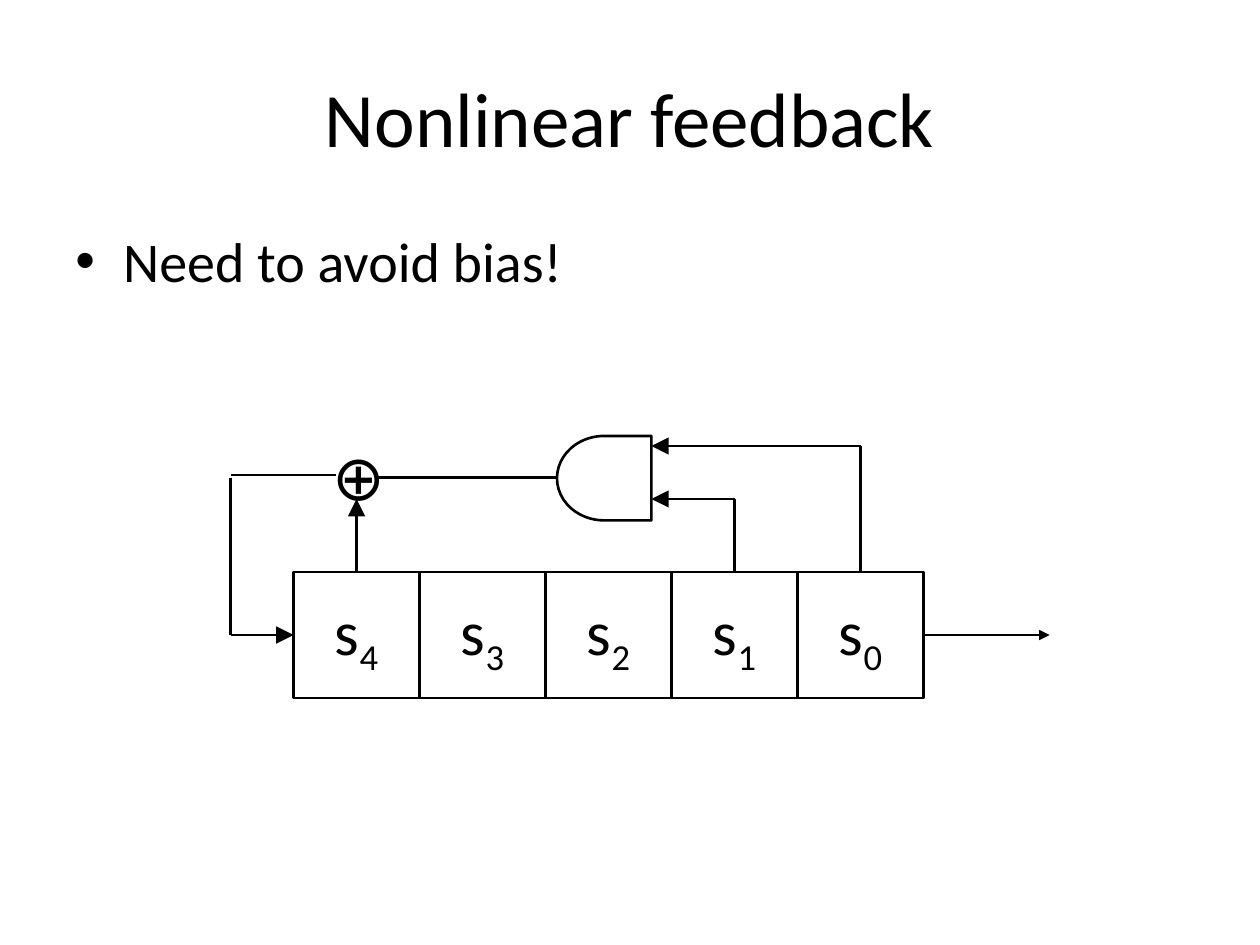
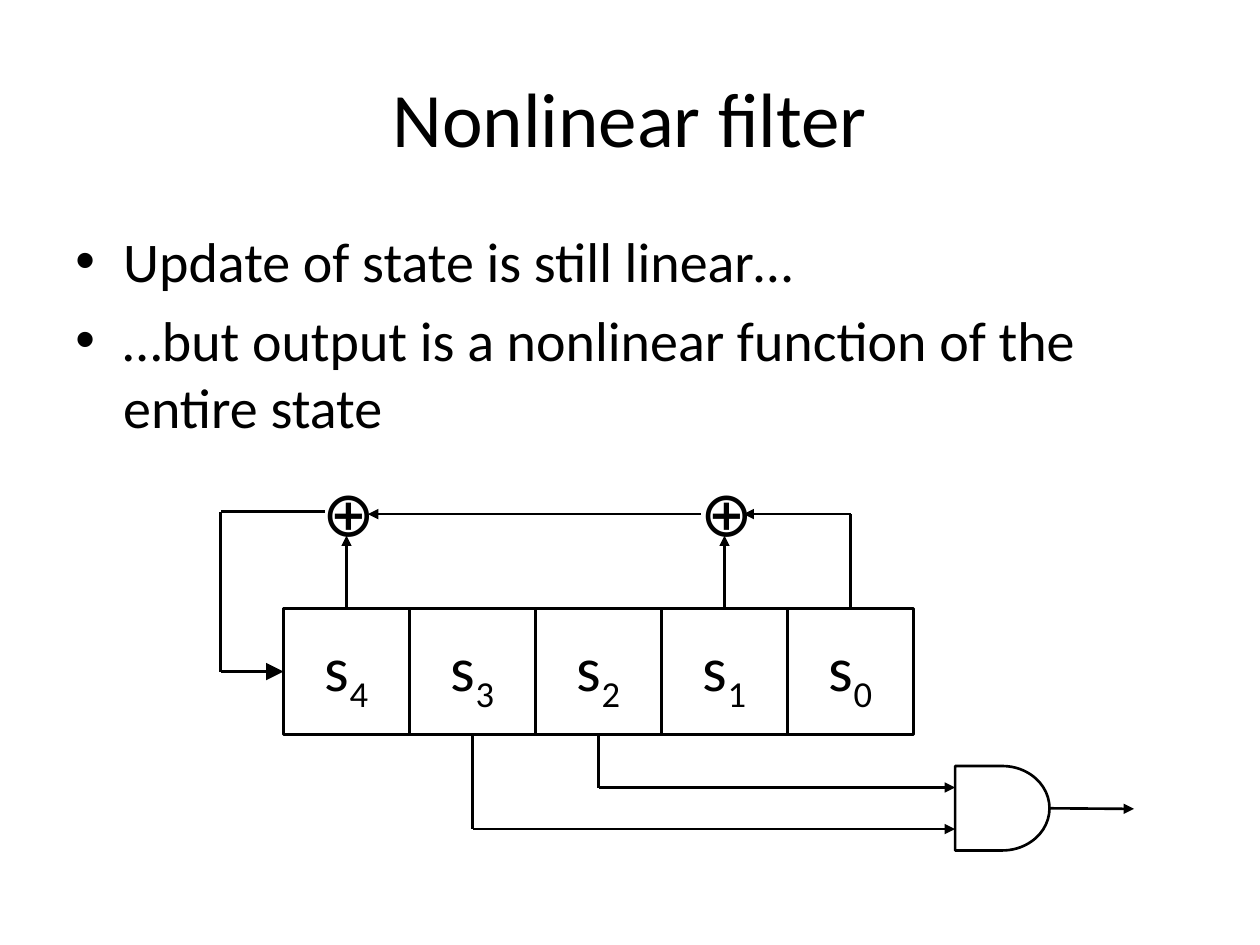
from lxml import etree
from pptx import Presentation
from pptx.dml.color import RGBColor
from pptx.enum import shapes, text
from pptx.oxml.ns import qn
from pptx.util import Inches, Pt

BLACK = RGBColor(0, 0, 0)
FONT = "Calibri"
LINE_WIDTH = Pt(1.5)
CELL = 1.0
CELL_DIGITS = "43210"
GATE_SIZE = (0.75, 0.67)
XOR_SIZE = (0.59, 0.71)
TOP, LEFT, BOTTOM, RIGHT = range(4)

# A wire is (start, end, arrowhead size at the end or None).
# An end is a point in inches or (name of a part, side).
SLIDES = [
    {
        "title": "Nonlinear feedback",
        "bullets": ["Need to avoid bias!"],
        "body_height": 0.92,
        "register": (2.33, 4.54),
        "gate": (4.42, 3.46),
        "gate_rotation": 180,
        "xors": [(2.54, 3.42)],
        "wires": [
            (("s0", RIGHT), (8.33, 5.04), "med"),
            (("s1", TOP), (5.83, 3.96), None),
            ((5.83, 3.96), (5.17, 3.96), "lg"),
            (("s0", TOP), (6.83, 3.54), None),
            ((6.83, 3.54), (5.17, 3.54), "lg"),
            ((4.42, 3.79), (3, 3.79), None),
            (("s4", TOP), (2.83, 3.96), "lg"),
            ((2.67, 3.77), (1.83, 3.77), None),
            ((1.83, 3.79), (1.83, 5.04), None),
            ((1.83, 5.04), ("s4", LEFT), "lg"),
        ],
    },
    {
        "title": "Nonlinear filter",
        "bullets": [
            "Update of state is still linear…",
            "…but output is a nonlinear function of the entire state",
        ],
        "body_height": 1.92,
        "register": (2.25, 4.83),
        "gate": (7.58, 6.08),
        "gate_rotation": 0,
        "xors": [(2.46, 3.71), (5.46, 3.71)],
        "wires": [
            (("s0", TOP), (6.75, 4.08), None),
            ((6.75, 4.08), (5.9, 4.08), "med"),
            (("s1", TOP), (5.75, 4.25), "med"),
            ((5.56, 4.08), (2.92, 4.08), "med"),
            (("s4", TOP), (2.75, 4.25), "med"),
            ((2.58, 4.06), (1.75, 4.06), None),
            ((1.75, 4.06), (1.75, 5.33), None),
            ((1.75, 5.33), ("s4", LEFT), "lg"),
            (("s2", BOTTOM), (4.75, 6.25), None),
            ((4.75, 6.25), (7.58, 6.25), "med"),
            (("s3", BOTTOM), (3.75, 6.58), None),
            ((3.75, 6.58), (7.58, 6.58), "med"),
            (("gate", RIGHT), (9, 6.42), "med"),
        ],
    },
]


def put_text(sp, lines, size, align=text.PP_ALIGN.LEFT,
             anchor=text.MSO_ANCHOR.TOP, wrap=True, bullet=None, subscript=None):
    tf = sp.text_frame
    tf.word_wrap = wrap
    tf.vertical_anchor = anchor
    for i, line in enumerate(lines):
        p = tf.add_paragraph() if i else tf.paragraphs[0]
        p.alignment = align
        if bullet:
            pPr = p._p.get_or_add_pPr()
            pPr.set("marL", str(Inches(0.38)))
            pPr.set("indent", str(-Inches(0.38)))
            etree.SubElement(pPr, qn("a:buFont")).set("typeface", "Arial")
            etree.SubElement(pPr, qn("a:buChar")).set("char", bullet)
            if i:
                p.space_before = Pt(size * 0.2)
        for part in filter(None, (line, subscript)):
            r = p.add_run()
            r.text = part
            r.font.name = FONT
            r.font.size = Pt(size)
            r.font.color.rgb = BLACK
            if part == subscript:
                r.font._element.set("baseline", "-25000")


def add_text(s, x, y, w, h, lines, size, **fmt):
    box = s.shapes.add_textbox(*map(Inches, (x, y, w, h)))
    put_text(box, lines, size, **fmt)


def add_outline(s, kind, x, y, w, h):
    sp = s.shapes.add_shape(kind, *map(Inches, (x, y, w, h)))
    sp.shadow.inherit = False
    sp.fill.background()
    sp.line.color.rgb = BLACK
    sp.line.width = LINE_WIDTH
    return sp


def add_register(s, x, y):
    cells = {}
    for i, digit in enumerate(CELL_DIGITS):
        cell = add_outline(s, shapes.MSO_SHAPE.RECTANGLE, x + i * CELL, y, CELL, CELL)
        put_text(cell, ["s"], 36, align=text.PP_ALIGN.CENTER,
                 anchor=text.MSO_ANCHOR.MIDDLE, subscript=digit)
        cells["s" + digit] = cell
    return cells


def locate(end, parts):
    """Return the point of a wire's end in EMU."""
    if end[0] not in parts:
        return Inches(end[0]), Inches(end[1])
    sp, side = parts[end[0]], end[1]
    fx, fy = {TOP: (0.5, 0), LEFT: (0, 0.5), BOTTOM: (0.5, 1), RIGHT: (1, 0.5)}[side]
    return int(sp.left + fx * sp.width), int(sp.top + fy * sp.height)


def add_wire(s, parts, start, end, arrow):
    wire = s.shapes.add_connector(
        shapes.MSO_CONNECTOR.STRAIGHT, *locate(start, parts), *locate(end, parts))
    if start[0] in parts:
        wire.begin_connect(parts[start[0]], start[1])
    if end[0] in parts:
        wire.end_connect(parts[end[0]], end[1])
    wire.line.color.rgb = BLACK
    wire.line.width = LINE_WIDTH
    if arrow:
        tail = etree.SubElement(wire.line._get_or_add_ln(), qn("a:tailEnd"))
        for key, value in (("type", "triangle"), ("w", arrow), ("len", arrow)):
            tail.set(key, value)
    etree.SubElement(wire._element.spPr, qn("a:effectLst"))


def build_slide(prs, content):
    s = prs.slides.add_slide(prs.slide_layouts[6])
    add_text(s, 0.5, 0.3, 9, 1.25, [content["title"]], 44,
             align=text.PP_ALIGN.CENTER, anchor=text.MSO_ANCHOR.MIDDLE)
    add_text(s, 0.5, 1.75, 9, content["body_height"], content["bullets"], 32, bullet="•")
    parts = add_register(s, *content["register"])
    gate = add_outline(s, shapes.MSO_SHAPE.FLOWCHART_DELAY, *content["gate"], *GATE_SIZE)
    gate.rotation = content["gate_rotation"]
    parts["gate"] = gate
    for corner in content["xors"]:
        add_text(s, *corner, *XOR_SIZE, ["⊕"], 36, wrap=False)
    for wire in content["wires"]:
        add_wire(s, parts, *wire)


def main():
    prs = Presentation()
    prs.slide_width, prs.slide_height = Inches(10), Inches(7.5)
    for content in SLIDES:
        build_slide(prs, content)
    prs.save("out.pptx")


if __name__ == "__main__":
    main()
